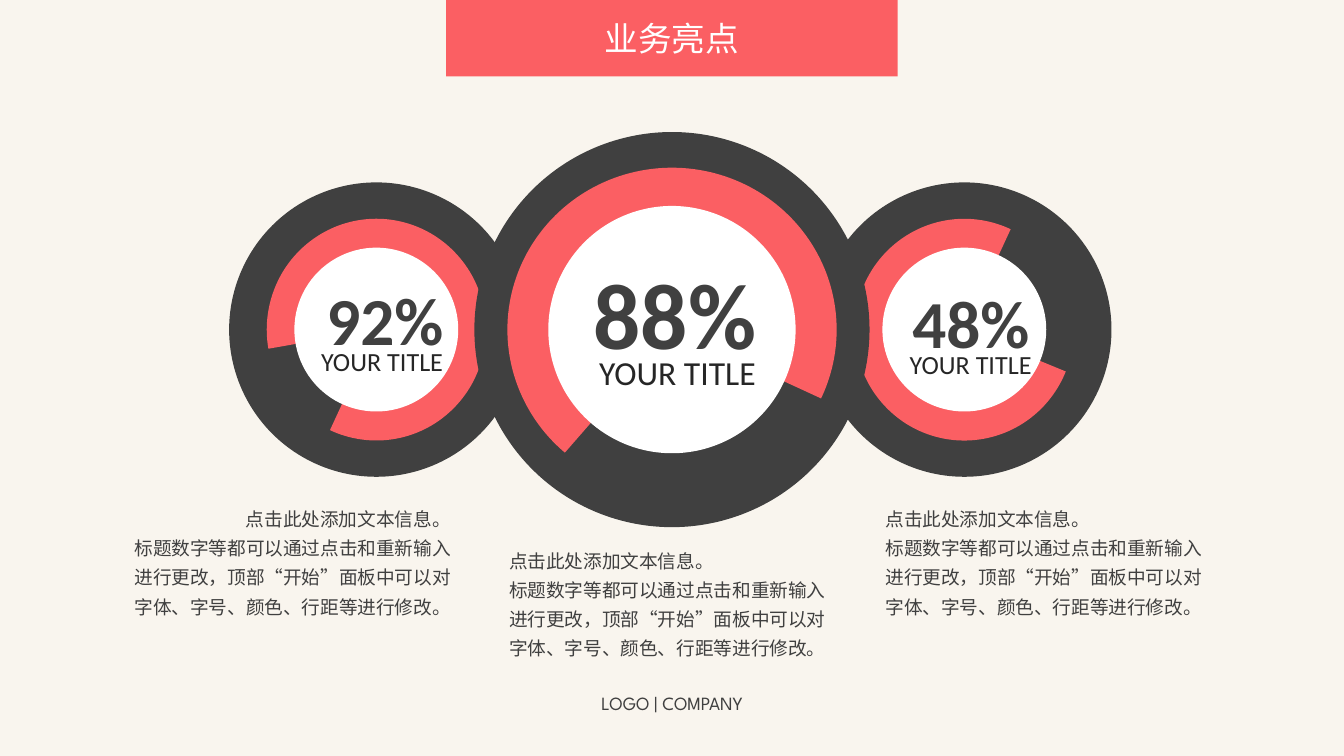
from pptx import Presentation
from pptx.dml.color import RGBColor
from pptx.enum.shapes import MSO_SHAPE as Shape
from pptx.enum.text import MSO_ANCHOR as Anchor, MSO_AUTO_SIZE as AutoSize, PP_ALIGN as Align
from pptx.util import Pt

CREAM = RGBColor(0xF9, 0xF5, 0xEE)
CORAL = RGBColor(0xFB, 0x5F, 0x63)
CHARCOAL = RGBColor(0x40, 0x40, 0x40)
INK = RGBColor(0x26, 0x26, 0x26)
WHITE = RGBColor(0xFF, 0xFF, 0xFF)

SLIDE_W, SLIDE_H = 720, 405
DIAL_Y = 176.6

HEADING = "业务亮点"
FOOTER = "LOGO | COMPANY"
DIAL_TITLE = "YOUR TITLE"
NOTE = [
    "点击此处添加文本信息。",
    "标题数字等都可以通过点击和重新输入进行更改，顶部“开始”面板中可以对字体、字号、颜色、行距等进行修改。",
]

SMALL = dict(disc=157.7, arc=(118.8, 117.4), hole=87.8, percent_size=36,
             percent_box=(110.9, 51.1), title_size=14, title_box=(80.6, 24.5))
LARGE = dict(disc=211.7, arc=(176.4, 173.5), hole=132.5, percent_size=50,
             percent_box=(118.8, 67.7), title_size=18, title_box=(100, 28.8))

# Back to front; the large dial overlaps its neighbours
DIALS = [
    dict(SMALL, percent="48%", x=516.6, rotation=270, start=67.434,
         percent_at=(481.7, 146.9), title_at=(480.2, 182.9)),
    dict(SMALL, percent="92%", x=201.6, rotation=90, start=47.976,
         percent_at=(167.8, 145.4), title_at=(164.9, 181.4)),
    dict(LARGE, percent="88%", x=360, rotation=0, start=78.633,
         percent_at=(311, 133.9), title_at=(313.9, 185)),
]
ARC_END, ARC_THICKNESS = 14.864, 0.428

NOTE_BOX = (187.9, 69.8)
NOTES = [
    ((265.7, 287.3), Align.LEFT),
    ((60.5, 265), Align.RIGHT),
    ((467.3, 265), Align.LEFT),
]


def add_filled(shapes, kind, center, size, color):
    (x, y), (w, h) = center, size
    shape = shapes.add_shape(kind, Pt(x - w / 2), Pt(y - h / 2), Pt(w), Pt(h))
    shape.shadow.inherit = False
    shape.fill.solid()
    shape.fill.fore_color.rgb = color
    shape.line.fill.background()
    return shape


def write(frame, lines, size, font, color, align=Align.LEFT, bold=None, spacing=None):
    frame.text = "\n".join(lines)
    for paragraph in frame.paragraphs:
        paragraph.alignment = align
        paragraph.line_spacing = spacing
        for run in paragraph.runs:
            run.font.size = Pt(size)
            run.font.name = font
            run.font.bold = bold
            run.font.color.rgb = color


def add_text(shapes, at, box, lines, size, font, color, wrap=True, **style):
    textbox = shapes.add_textbox(*map(Pt, at + box))
    frame = textbox.text_frame
    frame.word_wrap = wrap
    frame.auto_size = AutoSize.SHAPE_TO_FIT_TEXT
    write(frame, lines, size, font, color, **style)


def add_dial(slide, dial):
    shapes = slide.shapes.add_group_shape().shapes
    center = (dial["x"], DIAL_Y)
    add_filled(shapes, Shape.OVAL, center, (dial["disc"],) * 2, CHARCOAL)
    arc = add_filled(shapes, Shape.BLOCK_ARC, center, dial["arc"], CORAL)
    arc.rotation = dial["rotation"]
    for i, value in enumerate((dial["start"], ARC_END, ARC_THICKNESS)):
        arc.adjustments[i] = value
    add_filled(shapes, Shape.OVAL, center, (dial["hole"],) * 2, WHITE)
    add_text(shapes, dial["percent_at"], dial["percent_box"], [dial["percent"]],
             dial["percent_size"], "Calibri", CHARCOAL, bold=True)
    add_text(shapes, dial["title_at"], dial["title_box"], [DIAL_TITLE],
             dial["title_size"], "Calibri", INK, wrap=False)


def main():
    deck = Presentation()
    deck.slide_width, deck.slide_height = Pt(SLIDE_W), Pt(SLIDE_H)
    slide = deck.slides.add_slide(deck.slide_layouts[6])
    slide.background.fill.solid()
    slide.background.fill.fore_color.rgb = CREAM

    for dial in DIALS:
        add_dial(slide, dial)
    for at, align in NOTES:
        add_text(slide.shapes, at, NOTE_BOX, NOTE, 10, "Arial", CHARCOAL,
                 align=align, spacing=1.3)

    banner = add_filled(slide.shapes, Shape.RECTANGLE, (SLIDE_W / 2, 20.5), (241.9, 41), CORAL)
    banner.text_frame.vertical_anchor = Anchor.MIDDLE
    write(banner.text_frame, [HEADING], 18, "League Spartan", WHITE, align=Align.CENTER)
    add_text(slide.shapes, (304.8, 367.2), (110.4, 19.4), [FOOTER], 10, "League Spartan",
             CHARCOAL, wrap=False, align=Align.CENTER)
    deck.save("out.pptx")


if __name__ == "__main__":
    main()
